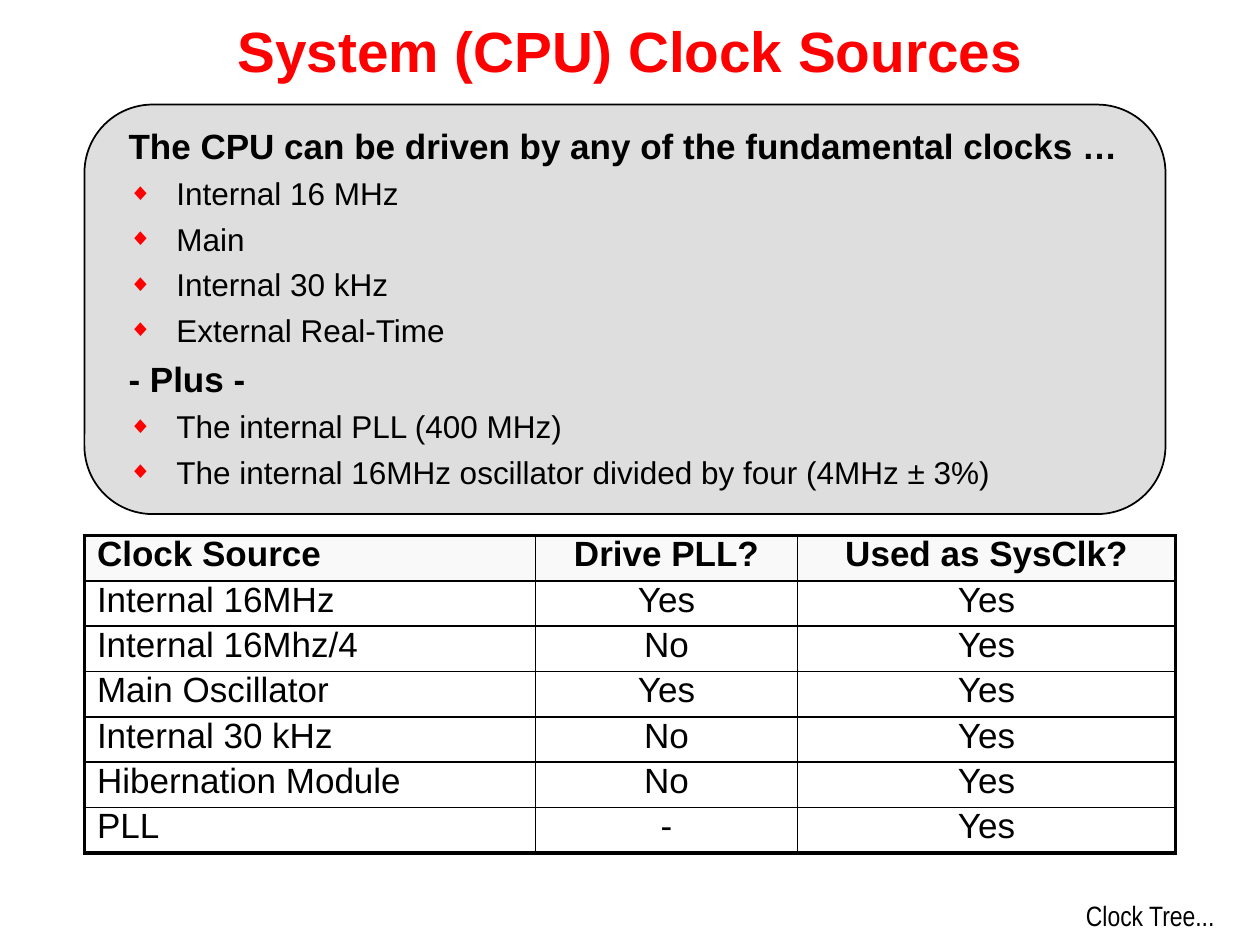
from lxml import etree
from pptx import Presentation
from pptx import util as u
from pptx.dml.color import RGBColor
from pptx.enum import shapes, text
from pptx.oxml import ns

BLACK = RGBColor(0, 0, 0)
RED = RGBColor(0xFF, 0, 0)
PANEL_GREY = RGBColor(0xDE, 0xDE, 0xDE)
HEADER_GREY = RGBColor(0xF9, 0xF9, 0xF9)

CLOCK_LIST = [
    ("The CPU can be driven by any of the fundamental clocks …", False),
    ("Internal 16 MHz", True),
    ("Main", True),
    ("Internal 30 kHz", True),
    ("External Real-Time", True),
    ("- Plus -", False),
    ("The internal PLL (400 MHz)", True),
    ("The internal 16MHz oscillator divided by four (4MHz ± 3%)", True),
]
CLOCK_ROWS = [
    ("Clock Source", "Drive PLL?", "Used as SysClk?"),
    ("Internal 16MHz", "Yes", "Yes"),
    ("Internal 16Mhz/4", "No", "Yes"),
    ("Main Oscillator", "Yes", "Yes"),
    ("Internal 30 kHz", "No", "Yes"),
    ("Hibernation Module", "No", "Yes"),
    ("PLL", "-", "Yes"),
]
COLUMN_WIDTHS = (3.58, 2.08, 3)
ROW_HEIGHT = 0.36


def place(shape, left, top, width, height):
    shape.left, shape.top = u.Inches(left), u.Inches(top)
    shape.width, shape.height = u.Inches(width), u.Inches(height)


def add_run(paragraph, words, size, bold=False, color=BLACK, face="Arial"):
    run = paragraph.add_run()
    run.text = words
    run.font.size = u.Pt(size)
    run.font.bold = bold
    run.font.name = face
    run.font.color.rgb = color


def add_child(parent, tag, **attributes):
    child = etree.SubElement(parent, ns.qn(tag))
    for name, value in attributes.items():
        child.set(name, str(value))
    return child


def set_bullet(paragraph, bulleted):
    properties = paragraph._p.get_or_add_pPr()
    properties.set("marL", str(u.Inches(0.38)))
    properties.set("indent", str(u.Inches(-0.38)))
    if not bulleted:
        add_child(properties, "a:buNone")
        return
    add_child(add_child(properties, "a:buClr"), "a:srgbClr", val=RED)
    add_child(properties, "a:buSzPct", val=75000)
    add_child(properties, "a:buFont", typeface="Arial")
    add_child(properties, "a:buChar", char="◆")


def add_title(slide):
    title = slide.shapes.title
    place(title, 0, 0.06, 10, 0.67)
    frame = title.text_frame
    frame.auto_size = text.MSO_AUTO_SIZE.NONE
    frame.vertical_anchor = text.MSO_ANCHOR.MIDDLE
    heading = frame.paragraphs[0]
    heading.alignment = text.PP_ALIGN.CENTER
    add_run(heading, "System (CPU) Clock Sources", 32.4, True, RED)


def add_panel(slide):
    panel = slide.shapes.add_shape(
        shapes.MSO_SHAPE.ROUNDED_RECTANGLE,
        u.Inches(0.67), u.Inches(0.83), u.Inches(8.58), u.Inches(3.25))
    panel.shadow.inherit = False
    panel.fill.solid()
    panel.fill.fore_color.rgb = PANEL_GREY
    panel.line.color.rgb = BLACK
    panel.line.width = u.Pt(1)
    slide.shapes._spTree.insert(2, panel._element)


def add_clock_list(slide):
    body = slide.placeholders[1]
    place(body, 0.92, 0.94, 8.17, 3.26)
    frame = body.text_frame
    frame.auto_size = text.MSO_AUTO_SIZE.NONE
    frame.vertical_anchor = text.MSO_ANCHOR.TOP
    for index, (words, bulleted) in enumerate(CLOCK_LIST):
        item = frame.add_paragraph() if index else frame.paragraphs[0]
        set_bullet(item, bulleted)
        gap = 4.4 if bulleted else 4.9
        item.space_before = u.Pt(gap if index else 0)
        add_run(item, words, 18 if bulleted else 20, not bulleted)


def set_borders(cell, widths):
    properties = cell._tc.get_or_add_tcPr()
    for side, width in zip("LRTB", widths):
        border = add_child(properties, f"a:ln{side}", w=u.Pt(width))
        add_child(add_child(border, "a:solidFill"), "a:srgbClr", val=BLACK)


def add_clock_table(slide):
    row_count, column_count = len(CLOCK_ROWS), len(COLUMN_WIDTHS)
    table = slide.shapes.add_table(
        row_count, column_count, u.Inches(0.67), u.Inches(4.25),
        u.Inches(sum(COLUMN_WIDTHS)), u.Inches(ROW_HEIGHT * row_count)).table
    table.first_row = table.horz_banding = False
    for column, width in zip(table.columns, COLUMN_WIDTHS):
        column.width = u.Inches(width)
    for r, entries in enumerate(CLOCK_ROWS):
        table.rows[r].height = u.Inches(ROW_HEIGHT)
        for c, words in enumerate(entries):
            cell = table.cell(r, c)
            outer = (c == 0, c == column_count - 1, r == 0, r == row_count - 1)
            set_borders(cell, [2.25 if edge else 1 for edge in outer])
            if r == 0:
                cell.fill.solid()
                cell.fill.fore_color.rgb = HEADER_GREY
            else:
                cell.fill.background()
            entry = cell.text_frame.paragraphs[0]
            entry.alignment = text.PP_ALIGN.CENTER if c else text.PP_ALIGN.LEFT
            entry.line_spacing = 0.8
            add_run(entry, words, 20, r == 0)


def add_next_topic(slide):
    frame = slide.shapes.add_textbox(
        u.Inches(8.61), u.Inches(7.18), u.Inches(1.03), u.Inches(0.22)).text_frame
    frame.margin_left = frame.margin_right = 0
    frame.margin_top = frame.margin_bottom = 0
    frame.word_wrap = False
    frame.auto_size = text.MSO_AUTO_SIZE.SHAPE_TO_FIT_TEXT
    frame.vertical_anchor = text.MSO_ANCHOR.BOTTOM
    topic = frame.paragraphs[0]
    topic.alignment = text.PP_ALIGN.RIGHT
    topic.line_spacing = 0.8
    add_run(topic, "Clock Tree...", 16, face="Arial Narrow")


def main():
    deck = Presentation()
    deck.slide_width, deck.slide_height = u.Inches(10), u.Inches(7.5)
    slide = deck.slides.add_slide(deck.slide_layouts[1])
    add_panel(slide)
    add_title(slide)
    add_clock_list(slide)
    add_clock_table(slide)
    add_next_topic(slide)
    deck.save("out.pptx")


if __name__ == "__main__":
    main()
